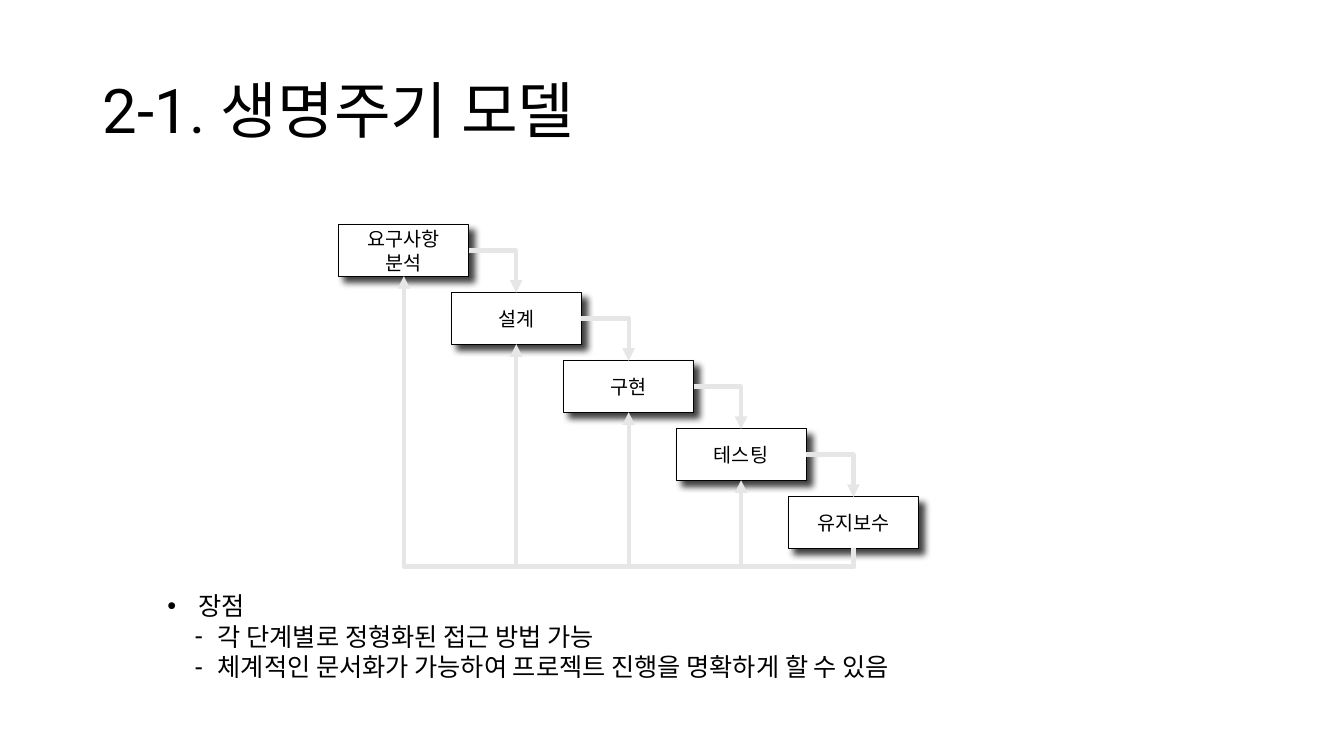
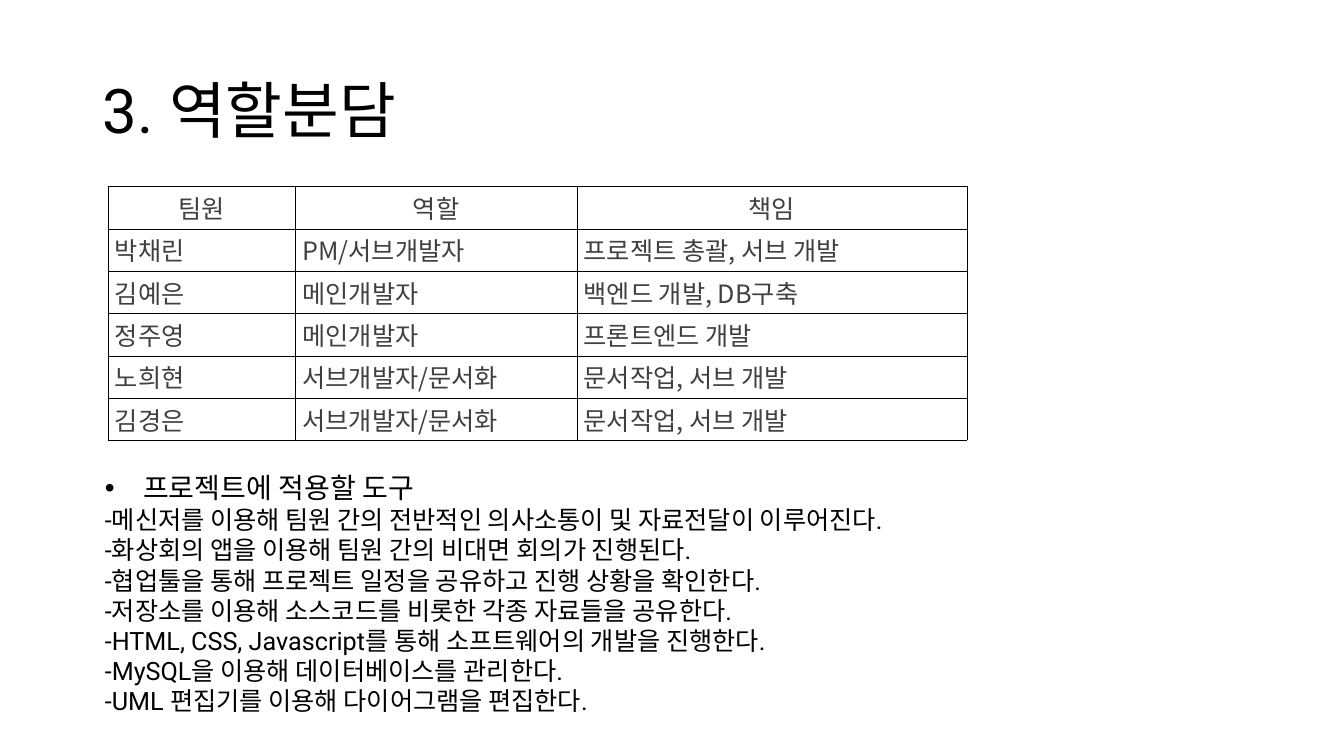
from dataclasses import dataclass
from itertools import pairwise

from lxml import etree
from pptx import Presentation
from pptx.dml.color import RGBColor
from pptx.enum.shapes import MSO_CONNECTOR, MSO_SHAPE
from pptx.enum.text import MSO_ANCHOR, MSO_AUTO_SIZE, PP_ALIGN
from pptx.oxml.ns import qn
from pptx.util import Emu, Inches, Pt


@dataclass(frozen=True)
class Theme:
    ink: str = "000000"
    paper: str = "FFFFFF"
    arrow: str = "E7E6E6"
    table_ink: str = "404040"
    latin: str = "Roboto"
    korean: str = "Noto Sans CJK KR"
    title: int = 44
    lead: int = 20
    body: int = 18
    label: int = 14


@dataclass(frozen=True)
class Line:
    """One paragraph of a list; an empty bullet means plain text."""
    text: str
    size: int
    bullet: str = ""
    margin: float = 0
    hanging: float = 0
    level: int = 0


THEME = Theme()

STAGES = ("요구사항\n분석", "설계", "구현", "테스팅", "유지보수")
FIRST_BOX = (3.36, 2.23)
LAST_BOX = (7.82, 4.93)
BOX_SIZE = (1.29, 0.51)
RETURN_Y = 5.62

ADVANTAGES = [
    Line("장점", THEME.body, "•", 0.31, 0.31),
    Line("각 단계별로 정형화된 접근 방법 가능", THEME.body, "-", 0.5, 0.23, 1),
    Line("체계적인 문서화가 가능하여 프로젝트 진행을 명확하게 할 수 있음",
         THEME.body, "-", 0.5, 0.23, 1),
]

ROLES = [
    ("팀원", "역할", "책임"),
    ("박채린", "PM/서브개발자", "프로젝트 총괄, 서브 개발"),
    ("김예은", "메인개발자", "백엔드 개발, DB구축"),
    ("정주영", "메인개발자", "프론트엔드 개발"),
    ("노희현", "서브개발자/문서화", "문서작업, 서브 개발"),
    ("김경은", "서브개발자/문서화", "문서작업, 서브 개발"),
]
ROLE_WIDTHS = (1.86, 2.79, 3.87)
ROW_HEIGHT = 0.42

TOOLS = [Line("프로젝트에 적용할 도구", THEME.lead, "•", 0.38, 0.38)] + [
    Line(text, THEME.body) for text in (
        "-메신저를 이용해 팀원 간의 전반적인 의사소통이 및 자료전달이 이루어진다.",
        "-화상회의 앱을 이용해 팀원 간의 비대면 회의가 진행된다.",
        "-협업툴을 통해 프로젝트 일정을 공유하고 진행 상황을 확인한다.",
        "-저장소를 이용해 소스코드를 비롯한 각종 자료들을 공유한다.",
        "-HTML, CSS, Javascript를 통해 소프트웨어의 개발을 진행한다.",
        "-MySQL을 이용해 데이터베이스를 관리한다.",
        "-UML 편집기를 이용해 다이어그램을 편집한다.",
    )
]


# Shared helpers
def color(value: str) -> RGBColor:
    return RGBColor.from_string(value)


def add_xml(parent, tag: str, **attributes):
    element = etree.SubElement(parent, qn(tag))
    for name, value in attributes.items():
        element.set(name, str(value))
    return element


def format_runs(para, size: int, ink: str = THEME.ink, face: str = THEME.latin) -> None:
    for span in para.runs:
        span.font.size = Pt(size)
        span.font.name = face
        span.font.color.rgb = color(ink)
        add_xml(span.font._element, "a:ea", typeface=THEME.korean)


def add_page(deck, heading: str):
    page = deck.slides.add_slide(deck.slide_layouts[1])
    title = page.shapes.title
    place(title, 0.92, 0.4, 11.5, 1.45)
    frame = title.text_frame
    frame.text = heading
    frame.auto_size = MSO_AUTO_SIZE.NONE
    frame.vertical_anchor = MSO_ANCHOR.MIDDLE
    para = frame.paragraphs[0]
    para.alignment = PP_ALIGN.LEFT
    para.line_spacing = 0.9
    format_runs(para, THEME.title)
    return page


def place(shape, left: float, top: float, width: float, height: float) -> None:
    shape.left, shape.top = Inches(left), Inches(top)
    shape.width, shape.height = Inches(width), Inches(height)


def fill_body(page, area: tuple[float, float, float, float], lines: list[Line],
              alignment: PP_ALIGN, face: str) -> None:
    body = page.placeholders[1]
    place(body, *area)
    frame = body.text_frame
    frame.text = "\n".join(line.text for line in lines)
    frame.auto_size = MSO_AUTO_SIZE.NONE
    frame.vertical_anchor = MSO_ANCHOR.TOP
    for para, line in zip(frame.paragraphs, lines):
        para.level = line.level
        properties = para._p.get_or_add_pPr()
        properties.set("marL", str(Inches(line.margin)))
        properties.set("indent", str(-Inches(line.hanging)))
        if line.bullet:
            add_xml(properties, "a:buChar", char=line.bullet)
        else:
            add_xml(properties, "a:buNone")
        para.alignment = alignment
        para.space_before = Pt(0)
        format_runs(para, line.size, face=face)


# Waterfall diagram
def add_stage(page, text: str, left: float, top: float):
    box = page.shapes.add_shape(MSO_SHAPE.RECTANGLE, Inches(left), Inches(top),
                                *map(Inches, BOX_SIZE))
    box.fill.solid()
    box.fill.fore_color.rgb = color(THEME.paper)
    box.line.color.rgb = color(THEME.ink)
    box.line.width = Pt(0.75)
    box.shadow.inherit = False
    effects = box._element.spPr.find(qn("a:effectLst"))
    shadow = add_xml(effects, "a:outerShdw", blurRad=Pt(5), dist=Pt(5.7),
                     dir=45 * 60000, algn="tl", rotWithShape=0)
    add_xml(add_xml(shadow, "a:srgbClr", val=THEME.ink), "a:alpha", val=75000)
    frame = box.text_frame
    frame.margin_left = frame.margin_right = frame.margin_top = frame.margin_bottom = 0
    frame.vertical_anchor = MSO_ANCHOR.MIDDLE
    frame.text = text
    for para in frame.paragraphs:
        para.alignment = PP_ALIGN.CENTER
        format_runs(para, THEME.label, face=THEME.korean)
    return box


def add_arrow(page, source, source_side: int, target, target_side: int):
    arrow = page.shapes.add_connector(MSO_CONNECTOR.ELBOW, 0, 0, 0, 0)
    arrow.begin_connect(source, source_side)
    arrow.end_connect(target, target_side)
    arrow.line.color.rgb = color(THEME.arrow)
    arrow.line.width = Pt(3)
    add_xml(arrow.line._get_or_add_ln(), "a:tailEnd", type="triangle")
    add_xml(arrow._element.spPr, "a:effectLst")
    return arrow


def add_forward_arrow(page, source, target) -> None:
    arrow = add_arrow(page, source, 3, target, 0)
    arrow._element.spPr.find(qn("a:prstGeom")).set("prst", "bentConnector2")


def add_return_arrow(page, source, target) -> None:
    """Leave the bottom of source, run along RETURN_Y and rise to target."""
    arrow = add_arrow(page, source, 2, target, 2)
    rise, run = arrow.height, arrow.width
    center_x, center_y = arrow.left + run // 2, arrow.top + rise // 2
    # The preset runs sideways, so it is turned by 270 degrees about its centre
    arrow.left, arrow.top = Emu(center_x - rise // 2), Emu(center_y - run // 2)
    arrow.width, arrow.height = rise, run
    properties = arrow._element.spPr
    transform = properties.find(qn("a:xfrm"))
    transform.attrib.pop("flipH", None)
    transform.set("rot", str(270 * 60000))
    transform.set("flipV", "1")
    drop = Inches(RETURN_Y) - source.top - source.height
    guides = properties.find(qn("a:prstGeom")).find(qn("a:avLst"))
    add_xml(guides, "a:gd", name="adj1", fmla=f"val {round(-100000 * drop / rise)}")


def build_life_cycle(deck) -> None:
    page = add_page(deck, "2-1. 생명주기 모델")
    steps = len(STAGES) - 1
    step_x, step_y = ((last - first) / steps for first, last in zip(FIRST_BOX, LAST_BOX))
    boxes = [add_stage(page, text, FIRST_BOX[0] + i * step_x, FIRST_BOX[1] + i * step_y)
             for i, text in enumerate(STAGES)]
    for source, target in pairwise(boxes):
        add_forward_arrow(page, source, target)
    for target in boxes[:-1]:
        add_return_arrow(page, boxes[-1], target)
    fill_body(page, (1.56, 5.81, 9.67, 1.01), ADVANTAGES, PP_ALIGN.LEFT, THEME.korean)


# Role table
def format_cell(cell, text: str, alignment: PP_ALIGN) -> None:
    cell.text = text
    cell.margin_left = cell.margin_right = Inches(0.07)
    cell.margin_top = cell.margin_bottom = 0
    cell.vertical_anchor = MSO_ANCHOR.MIDDLE
    para = cell.text_frame.paragraphs[0]
    para.alignment = alignment
    format_runs(para, THEME.body, THEME.table_ink, THEME.korean)
    properties = cell._tc.get_or_add_tcPr()
    for side in ("a:lnL", "a:lnR", "a:lnT", "a:lnB"):
        border = add_xml(properties, side, w=Pt(0.25))
        add_xml(add_xml(border, "a:solidFill"), "a:srgbClr", val=THEME.ink)
    cell.fill.solid()
    cell.fill.fore_color.rgb = color(THEME.paper)


def build_roles(deck) -> None:
    page = add_page(deck, "3. 역할분담")
    table = page.shapes.add_table(
        len(ROLES), len(ROLE_WIDTHS), Inches(1.07), Inches(1.85),
        Inches(sum(ROLE_WIDTHS)), Inches(ROW_HEIGHT * len(ROLES))).table
    for column, width in zip(table.columns, ROLE_WIDTHS):
        column.width = Inches(width)
    for i, (row, texts) in enumerate(zip(table.rows, ROLES)):
        row.height = Inches(ROW_HEIGHT)
        for cell, text in zip(row.cells, texts):
            format_cell(cell, text, PP_ALIGN.JUSTIFY if i else PP_ALIGN.CENTER)
    fill_body(page, (0.94, 4.62, 9.68, 2.56), TOOLS, PP_ALIGN.JUSTIFY, THEME.latin)


def main() -> None:
    deck = Presentation()
    deck.slide_width, deck.slide_height = Inches(13.33), Inches(7.5)
    build_life_cycle(deck)
    build_roles(deck)
    deck.save("out.pptx")


if __name__ == "__main__":
    main()
